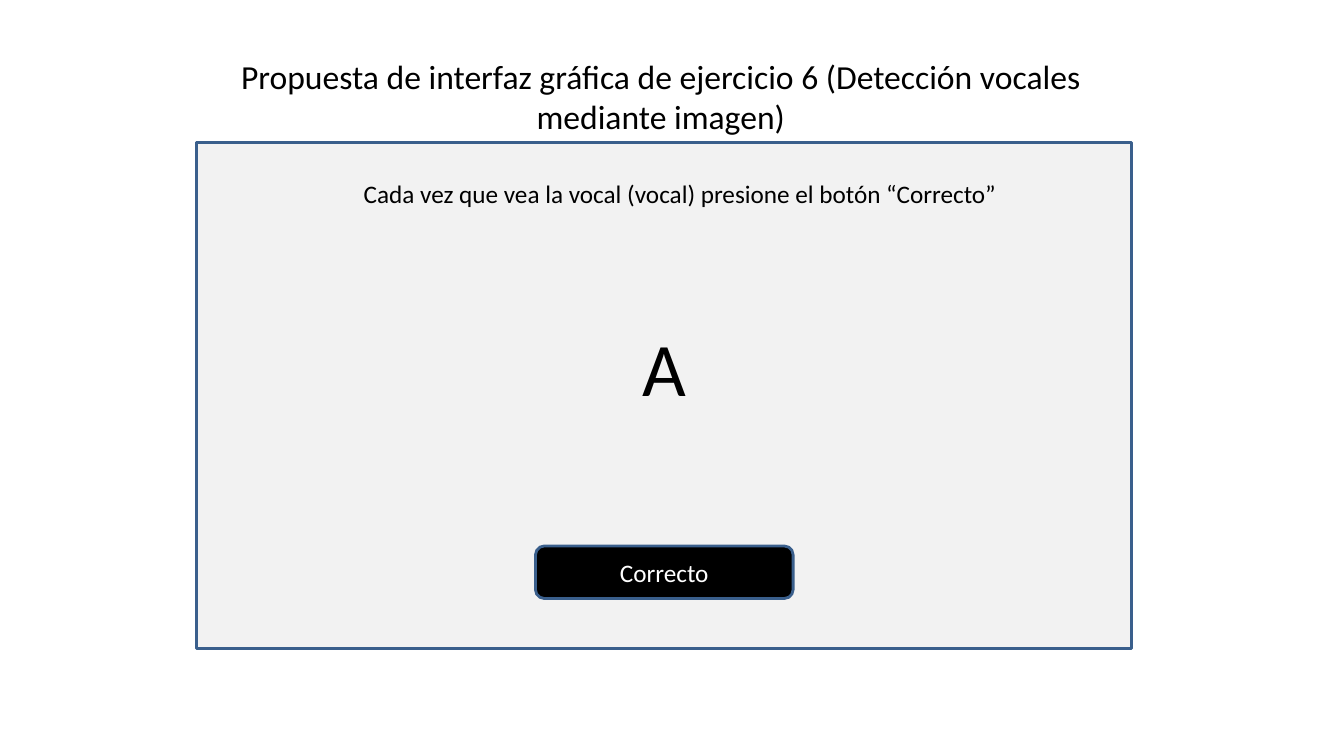
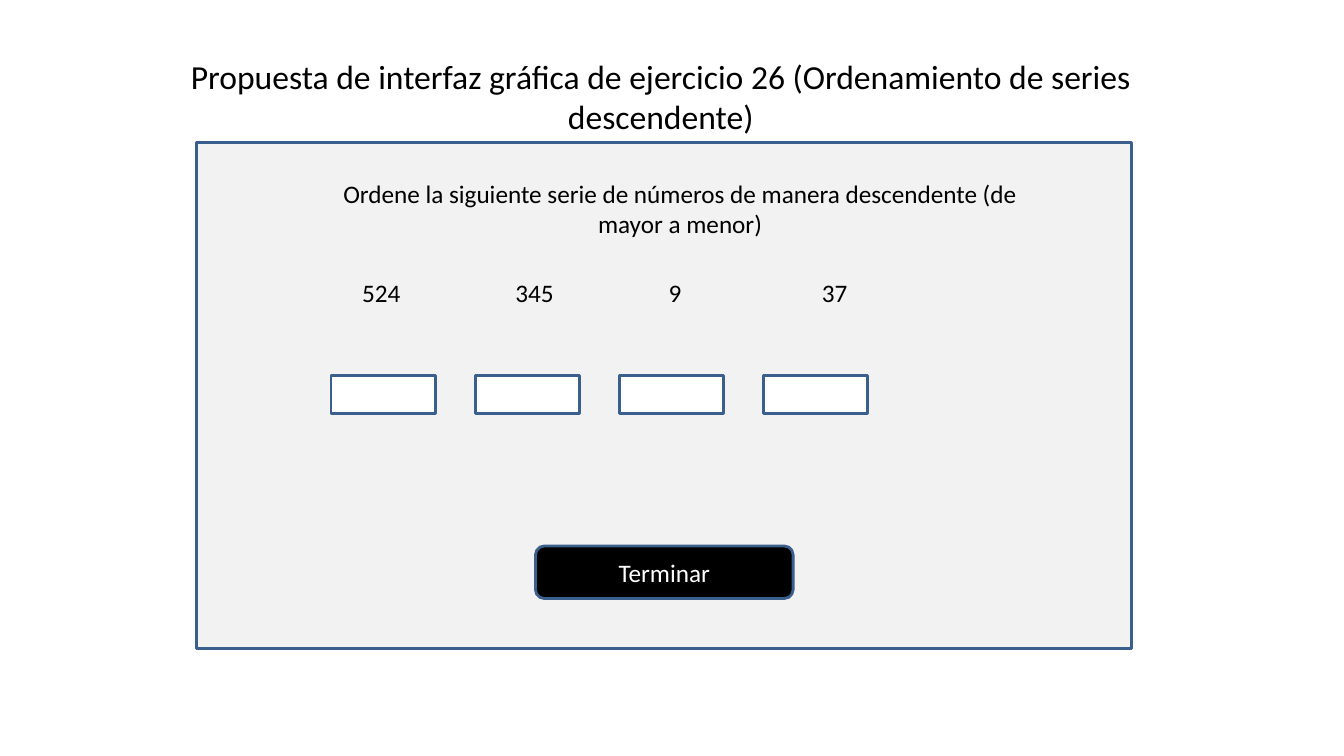
"""Build two interface proposals for cognitive exercises."""
import pptx
import pptx.dml.color
import pptx.enum.shapes
import pptx.enum.text
import pptx.util

Pt = pptx.util.Pt
RGB = pptx.dml.color.RGBColor
SHAPE = pptx.enum.shapes.MSO_SHAPE
ALIGN = pptx.enum.text.PP_ALIGN
ANCHOR = pptx.enum.text.MSO_ANCHOR


class Theme:
    font = "Calibri"
    ink = RGB.from_string("000000")
    paper = RGB.from_string("FFFFFF")
    panel = RGB.from_string("F2F2F2")
    outline = RGB.from_string("3A5F8C")
    line = Pt(2)
    title = Pt(24)
    body = Pt(18)
    letter = Pt(54)


def write(sp, text, size=Theme.body, color=Theme.ink, align=ALIGN.CENTER, anchor=ANCHOR.TOP, wrap=True):
    tf = sp.text_frame
    tf.auto_size = pptx.enum.text.MSO_AUTO_SIZE.NONE
    tf.word_wrap = wrap
    tf.vertical_anchor = anchor
    p = tf.paragraphs[0]
    p.alignment = align
    r = p.add_run()
    r.text = text
    r.font.name = Theme.font
    r.font.size = size
    r.font.color.rgb = color


def add_box(s, kind, left, top, width, height, fill):
    sp = s.shapes.add_shape(kind, Pt(left), Pt(top), Pt(width), Pt(height))
    sp.shadow.inherit = False
    sp.fill.solid()
    sp.fill.fore_color.rgb = fill
    sp.line.color.rgb = Theme.outline
    sp.line.width = Theme.line
    return sp


prs = pptx.Presentation()
prs.slide_width = Pt(960)
prs.slide_height = Pt(540)

exercises = [
    ("Propuesta de interfaz gráfica de ejercicio 6 (Detección vocales mediante imagen)",
     "Cada vez que vea la vocal (vocal) presione el botón “Correcto”",
     "Correcto"),
    ("Propuesta de interfaz gráfica de ejercicio 26 (Ordenamiento de series descendente)",
     "Ordene la siguiente serie de números de manera descendente (de mayor a menor)",
     "Terminar"),
]

slides = []
for title, instruction, action in exercises:
    s = prs.slides.add_slide(prs.slide_layouts[5])
    slides.append(s)
    sp = s.shapes.title
    sp.left, sp.top, sp.width, sp.height = Pt(120), Pt(36), Pt(704), Pt(65)
    write(sp, title, Theme.title)
    add_box(s, SHAPE.RECTANGLE, 140.5, 101.5, 668, 361.5, Theme.panel)
    sp = s.shapes.add_textbox(Pt(219), Pt(124), Pt(533.5), Pt(50))
    write(sp, instruction)
    button = add_box(s, SHAPE.ROUNDED_RECTANGLE, 382.5, 390, 184, 37.5, Theme.ink)
    write(button, action, color=Theme.paper, anchor=ANCHOR.MIDDLE)

vowel_slide, series_slide = slides

sp = vowel_slide.shapes.add_textbox(Pt(449), Pt(226), Pt(51), Pt(72))
write(sp, "A", Theme.letter, wrap=False)

for i, number in enumerate(["524", "345", "9", "37"]):
    sp = series_slide.shapes.add_textbox(Pt(251.5 + 109.5 * i), Pt(194.5), Pt(178), Pt(29))
    write(sp, number, align=ALIGN.LEFT)
    add_box(series_slide, SHAPE.RECTANGLE, 236.5 + 103 * i, 268.5, 74.5, 27, Theme.paper)

prs.save("out.pptx")
